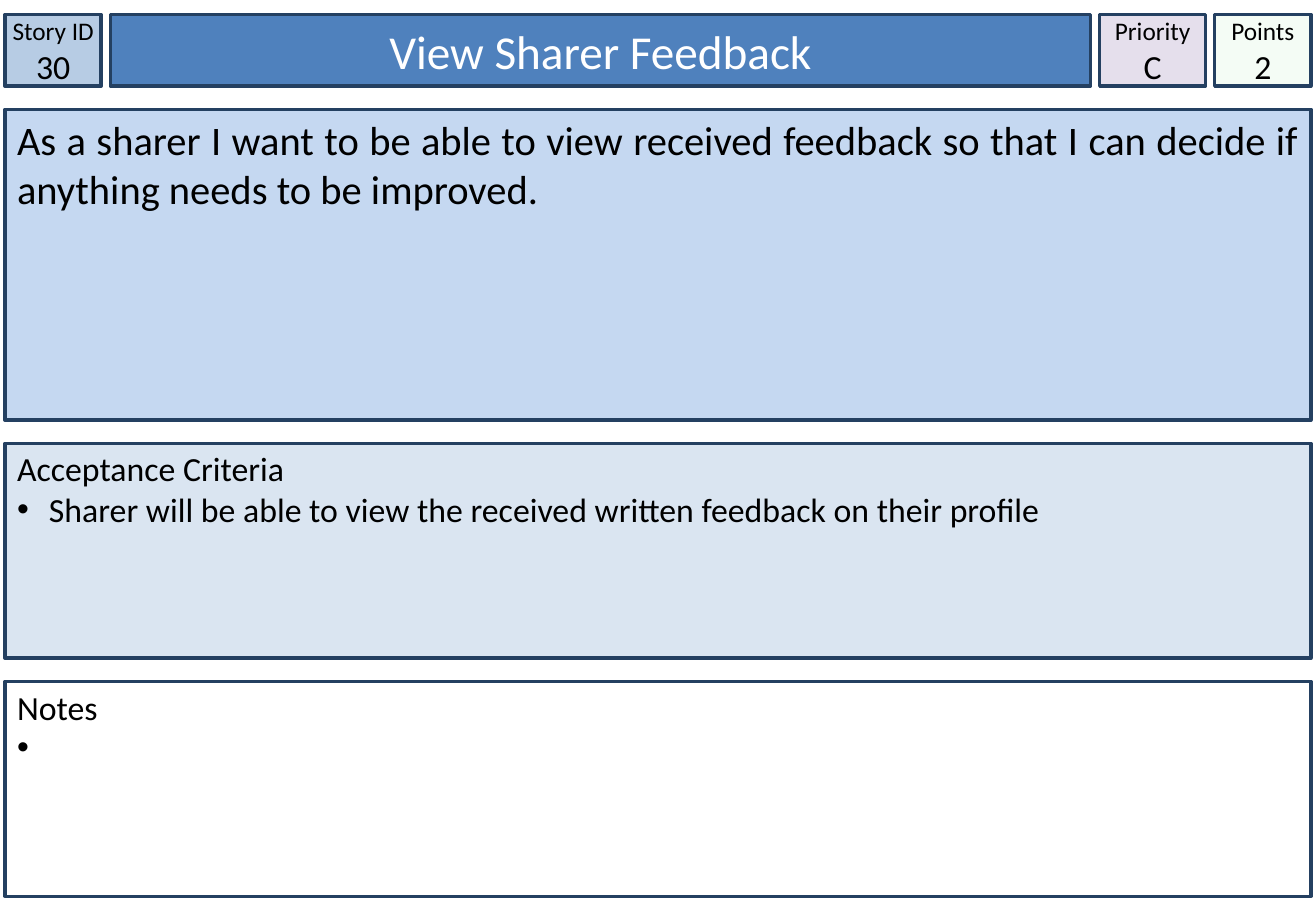
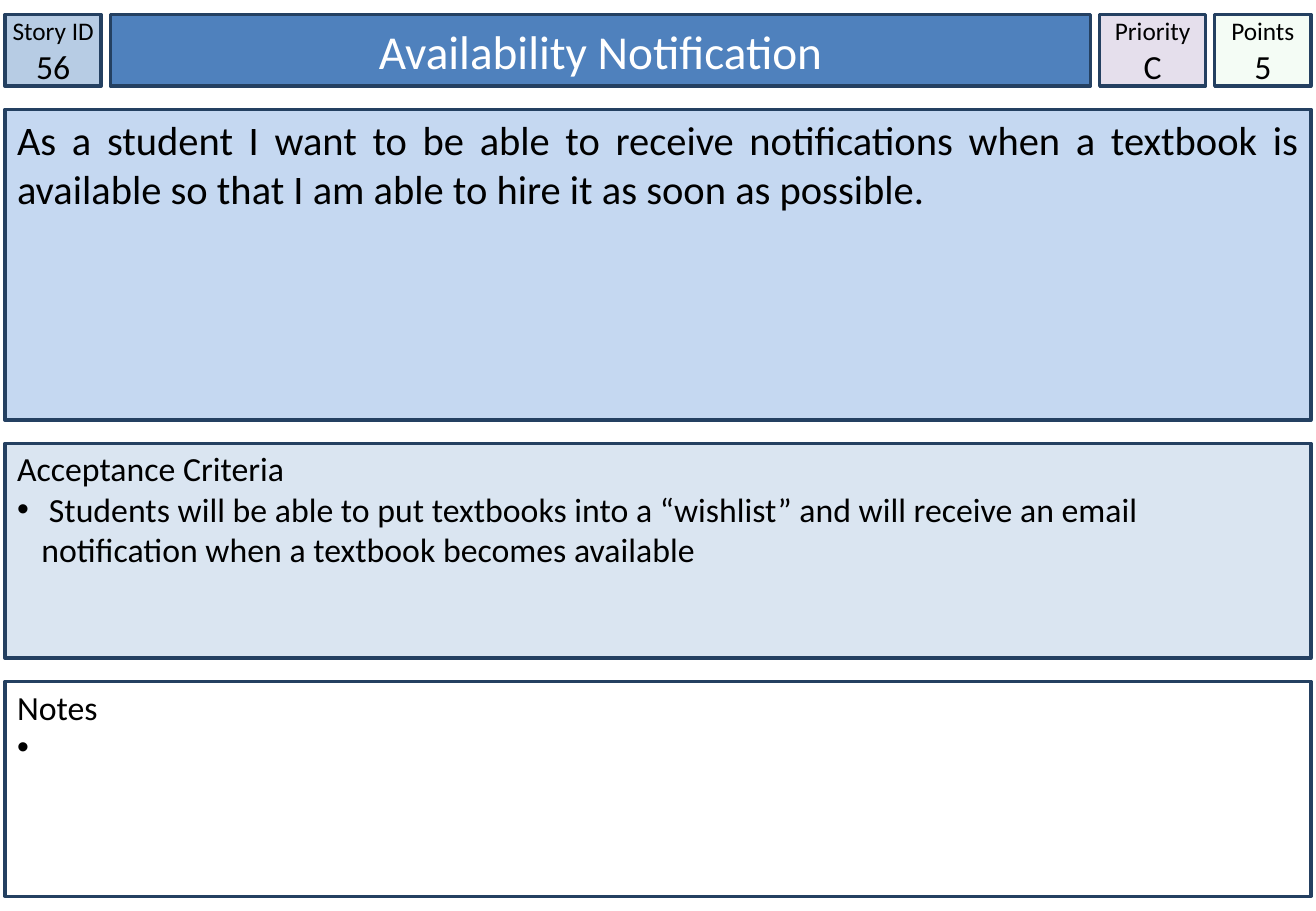
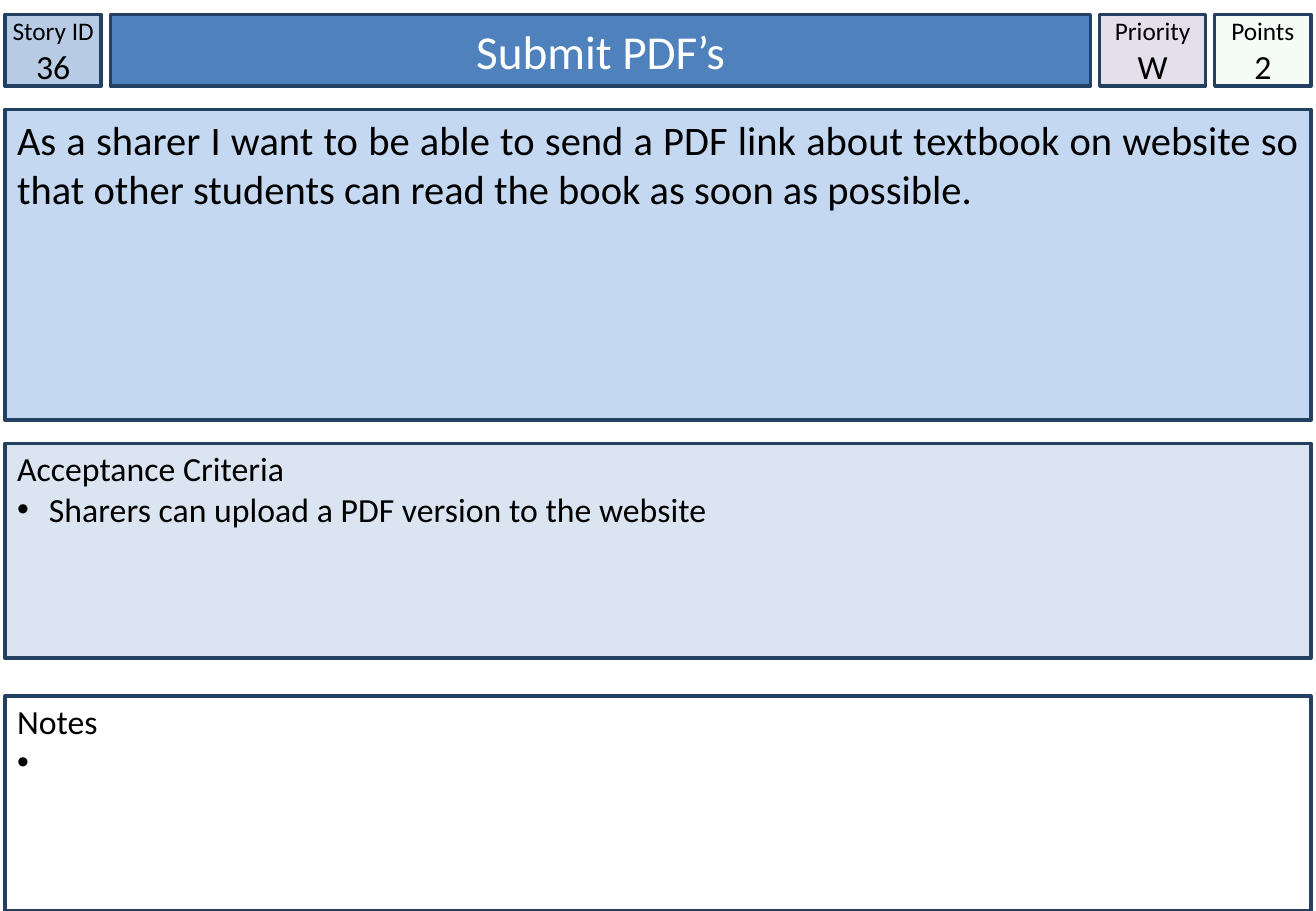
from dataclasses import dataclass
from itertools import accumulate

from lxml import etree
from pptx import Presentation
from pptx import util as u
from pptx.dml.color import RGBColor
from pptx.enum import shapes, text
from pptx.oxml.ns import qn

SLIDE_WIDTH, SLIDE_HEIGHT = 780, 540
LEFT, TOP, WIDTH = 3, 8.6, 774
HEADER_HEIGHT, STORY_HEIGHT, LIST_HEIGHT = 42.5, 184.3, 127.4
COLUMN_GAP, ROW_GAP = 5.4, 13.7
HEADER_WIDTHS = (57, 581, 62.8, 57)  # story ID, title, priority, points
FONT = "Calibri"
BLACK, WHITE, NAVY = "000000", "FFFFFF", "244061"
BLUE, PALE_BLUE, STORY_BLUE, CRITERIA_BLUE = "4F81BD", "B7CCE4", "C5D8F1", "DAE5F1"
LILAC, GREEN = "E5DFEC", "CCF0CD"


@dataclass(frozen=True)
class Box:
    left: float
    top: float
    width: float
    height: float
    fill: str


@dataclass(frozen=True)
class TextStyle:
    sizes: tuple[float, ...]  # one per paragraph
    align: text.PP_ALIGN = text.PP_ALIGN.LEFT
    anchor: text.MSO_ANCHOR = text.MSO_ANCHOR.TOP
    color: str = BLACK
    side_inset: float = 7.2
    top_inset: float = 3.6


@dataclass(frozen=True)
class Card:
    story_id: str
    title: str
    priority: str
    points: str
    story: str
    criterion: str
    last_box_at_bottom: bool = False


BADGE = TextStyle((15, 20), text.PP_ALIGN.CENTER, text.MSO_ANCHOR.MIDDLE, side_inset=0)
TITLE = TextStyle((28,), text.PP_ALIGN.CENTER, text.MSO_ANCHOR.MIDDLE, WHITE)
STORY = TextStyle((24,), text.PP_ALIGN.JUSTIFY)
LISTING = TextStyle((20, 20), top_inset=2.9)

CARDS = (
    Card("30", "View Sharer Feedback", "C", "2",
         "As a sharer I want to be able to view received feedback so that I can "
         "decide if anything needs to be improved.",
         "Sharer will be able to view the received written feedback on their profile"),
    Card("56", "Availability Notification", "C", "5",
         "As a student I want to be able to receive notifications when a textbook "
         "is available so that I am able to hire it as soon as possible.",
         "Students will be able to put textbooks into a “wishlist” and will receive "
         "an email notification when a textbook becomes available"),
    Card("36", "Submit PDF’s", "W", "2",
         "As a sharer I want to be able to send a PDF link about textbook on website "
         "so that other students can read the book as soon as possible.",
         "Sharers can upload a PDF version to the website",
         last_box_at_bottom=True),
)


def rgb(color: str) -> RGBColor:
    return RGBColor.from_string(color)


def starts(first: float, sizes: tuple[float, ...], gap: float) -> list[float]:
    """Start of each item in a run of items parted by equal gaps."""
    return list(accumulate((size + gap for size in sizes[:-1]), initial=first))


def fill_box(shape, box: Box, style: TextStyle, lines: tuple[str, ...]) -> None:
    """Place, paint and letter a rectangle or a title placeholder."""
    shape.left, shape.top = u.Pt(box.left), u.Pt(box.top)
    shape.width, shape.height = u.Pt(box.width), u.Pt(box.height)
    shape.fill.solid()
    shape.fill.fore_color.rgb = rgb(box.fill)
    shape.line.color.rgb = rgb(NAVY)
    shape.line.width = u.Pt(2)
    frame = shape.text_frame
    frame.word_wrap = True
    frame.auto_size = text.MSO_AUTO_SIZE.NONE
    frame.vertical_anchor = style.anchor
    frame.margin_left = frame.margin_right = u.Pt(style.side_inset)
    frame.margin_top, frame.margin_bottom = u.Pt(style.top_inset), u.Pt(3.6)
    frame.text = "\n".join(lines)
    for para, size in zip(frame.paragraphs, style.sizes):
        para.alignment = style.align
        for span in para.runs:
            span.font.name = FONT
            span.font.size = u.Pt(size)
            span.font.color.rgb = rgb(style.color)


def add_box(page, box: Box, style: TextStyle, *lines: str):
    shape = page.shapes.add_shape(shapes.MSO_SHAPE.RECTANGLE, 0, 0, 0, 0)
    shape.shadow.inherit = False
    fill_box(shape, box, style, lines)
    return shape


def add_list(page, box: Box, heading: str, item: str) -> None:
    # The single space parts the text from its bullet.
    shape = add_box(page, box, LISTING, heading, f" {item}")
    properties = shape.text_frame.paragraphs[1]._p.get_or_add_pPr()
    properties.set("marL", str(u.Pt(14.4)))
    properties.set("indent", str(u.Pt(-14.4)))
    color = etree.SubElement(properties, qn("a:buClr"))
    etree.SubElement(color, qn("a:srgbClr"), val=BLACK)
    etree.SubElement(properties, qn("a:buFont"), typeface="Arial")
    etree.SubElement(properties, qn("a:buChar"), char="•")


def set_opacity(shape, percent: int) -> None:
    color = shape.element.spPr.find(qn("a:solidFill"))[0]
    etree.SubElement(color, qn("a:alpha"), val=str(percent * 1000))


def add_card(deck, card: Card) -> None:
    page = deck.slides.add_slide(deck.slide_layouts[5])
    heights = (HEADER_HEIGHT, STORY_HEIGHT, LIST_HEIGHT, LIST_HEIGHT)
    _, story_top, criteria_top, last_top = starts(TOP, heights, ROW_GAP)
    if card.last_box_at_bottom:
        last_top = SLIDE_HEIGHT - LIST_HEIGHT
    id_box, title_box, priority_box, points_box = (
        Box(left, TOP, width, HEADER_HEIGHT, fill)
        for left, width, fill in zip(starts(LEFT, HEADER_WIDTHS, COLUMN_GAP),
                                     HEADER_WIDTHS, (PALE_BLUE, BLUE, LILAC, GREEN))
    )

    fill_box(page.shapes.title, title_box, TITLE, (card.title,))
    add_box(page, id_box, BADGE, "Story ID", card.story_id)
    add_box(page, Box(LEFT, story_top, WIDTH, STORY_HEIGHT, STORY_BLUE), STORY, card.story)
    add_list(page, Box(LEFT, criteria_top, WIDTH, LIST_HEIGHT, CRITERIA_BLUE),
             "Acceptance Criteria", card.criterion)
    set_opacity(add_box(page, points_box, BADGE, "Points", card.points), 20)
    add_box(page, priority_box, BADGE, "Priority", card.priority)
    add_list(page, Box(LEFT, last_top, WIDTH, LIST_HEIGHT, WHITE), "Notes", "")


def main() -> None:
    deck = Presentation()
    deck.slide_width, deck.slide_height = u.Pt(SLIDE_WIDTH), u.Pt(SLIDE_HEIGHT)
    for card in CARDS:
        add_card(deck, card)
    deck.save("out.pptx")


if __name__ == "__main__":
    main()
